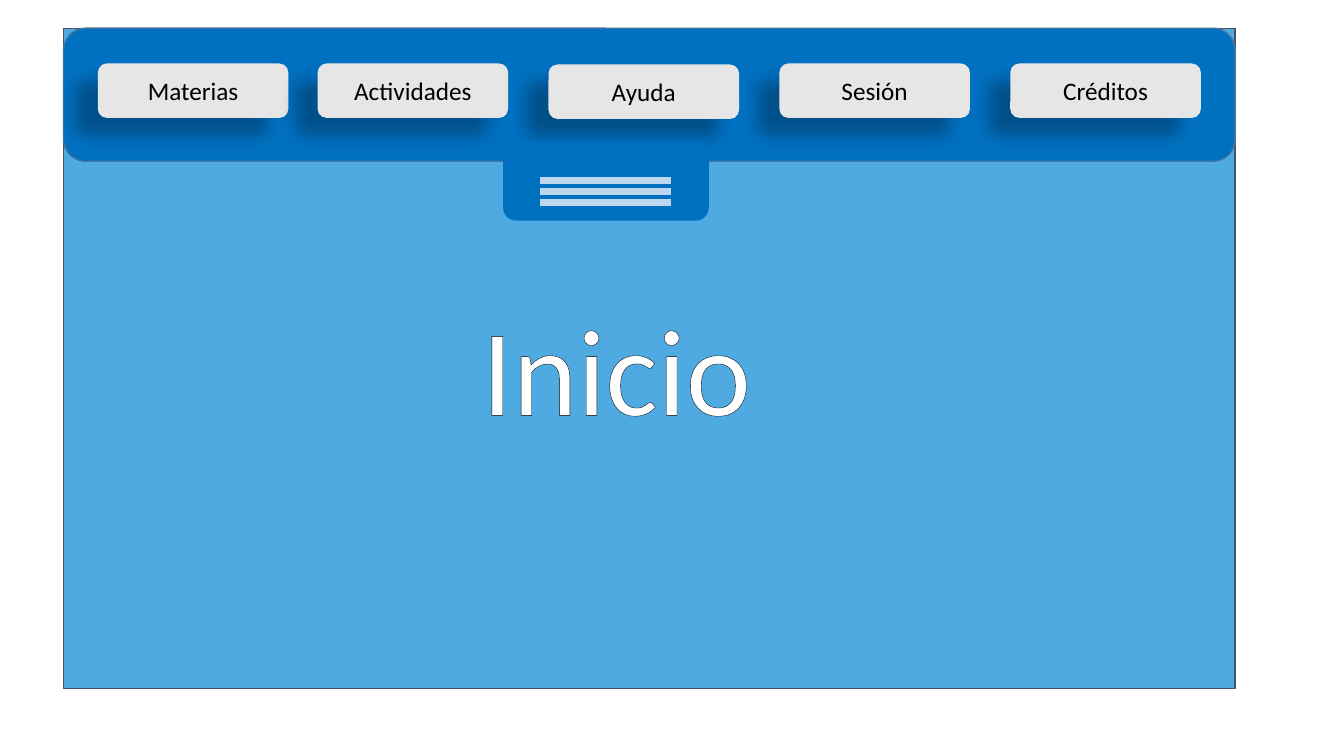
from lxml.etree import SubElement
from pptx import Presentation
from pptx.dml.color import RGBColor
from pptx.enum.shapes import MSO_CONNECTOR, MSO_SHAPE
from pptx.enum.text import MSO_ANCHOR, MSO_AUTO_SIZE, PP_ALIGN
from pptx.oxml import parse_xml
from pptx.oxml.ns import nsdecls, qn
from pptx.util import Inches, Pt

SKY = RGBColor(0x50, 0xAA, 0xE2)
BLUE = RGBColor(0x00, 0x70, 0xC0)
SLATE = RGBColor(0x44, 0x54, 0x6A)
STEEL = RGBColor(0x43, 0x73, 0x9E)
GRAY = RGBColor(0xE7, 0xE6, 0xE6)
PALE = RGBColor(0xBD, 0xD7, 0xEE)
BLACK = RGBColor(0, 0, 0)
WHITE = RGBColor(255, 255, 255)

TITLE = "Inicio"
MENU = [("Materias", 0.11, 0), ("Actividades", 0, 0), ("Ayuda", 0, 0.01),
        ("Sesión", 0, 0), ("Créditos", 0, 0)]
MENU_LEFT, MENU_TOP, MENU_STEP = 0.86, 0.63, 2.29
BUTTON_W, BUTTON_H = 1.89, 0.54
PANEL = (0.63, 0.28, 11.62, 6.55)
HEADER = (*PANEL[:3], 1.32)
TAB = (4.99, 1.41, 2.04, 0.78)
BARS, BAR_LEFT, BAR_RIGHT, BAR_TOP, BAR_STEP = 3, 5.36, 6.66, 1.79, 0.11
TITLE_BOX = (4.68, 2.85, 3.08, 1.58)
BUTTON_FONT = {"name": "Calibri", "size": Pt(18)}
TITLE_FONT = {"name": "Calibri", "size": Pt(88)}
SHADOW = {"blurRad": Pt(11.8), "dist": Pt(19.7), "dir": 141 * 60000,
          "algn": "ctr", "rotWithShape": 0}


def add_box(s, kind, box, fill, line=None):
    sp = s.shapes.add_shape(kind, *map(Inches, box))
    sp.shadow.inherit = False
    sp.fill.solid()
    sp.fill.fore_color.rgb = fill
    if line is None:
        sp.line.fill.background()
    else:
        sp.line.color.rgb = line
        sp.line.width = Pt(1)
    return sp


def write(tf, text, font, color):
    p = tf.paragraphs[0]
    r = p.add_run()
    r.text = text
    for key, value in font.items():
        setattr(r.font, key, value)
    r.font.color.rgb = color
    return p, r


def add_button(s, text, left, top):
    box = (left, top, BUTTON_W, BUTTON_H)
    sp = add_box(s, MSO_SHAPE.ROUNDED_RECTANGLE, box, GRAY)
    effects = sp._element.spPr.find(qn("a:effectLst"))
    shadow = SubElement(effects, qn("a:outerShdw"),
                        {key: str(value) for key, value in SHADOW.items()})
    color = SubElement(shadow, qn("a:srgbClr"), val=str(BLACK))
    SubElement(color, qn("a:alpha"), val="28000")
    sp.text_frame.vertical_anchor = MSO_ANCHOR.MIDDLE
    p, r = write(sp.text_frame, text, BUTTON_FONT, BLACK)
    p.alignment = PP_ALIGN.CENTER


def add_bar(s, y):
    bar = s.shapes.add_connector(
        MSO_CONNECTOR.STRAIGHT, *map(Inches, (BAR_LEFT, y, BAR_RIGHT, y)))
    bar.line.color.rgb = PALE
    bar.line.width = Pt(4.5)
    SubElement(bar._element.spPr, qn("a:effectLst"))


def add_title(s):
    tf = s.shapes.add_textbox(*map(Inches, TITLE_BOX)).text_frame
    tf.word_wrap = False
    tf.auto_size = MSO_AUTO_SIZE.SHAPE_TO_FIT_TEXT
    p, r = write(tf, TITLE, TITLE_FONT, WHITE)
    outline = parse_xml(
        f'<a:ln {nsdecls("a")} w="{Pt(0.75)}"><a:solidFill>'
        f'<a:srgbClr val="{BLACK}"/></a:solidFill></a:ln>')
    r._r.get_or_add_rPr().insert(0, outline)


def main():
    """Build the start screen with its menu, pull-down tab and title."""
    prs = Presentation()
    prs.slide_width, prs.slide_height = Inches(13.33), Inches(7.5)
    s = prs.slides.add_slide(prs.slide_layouts[6])
    add_box(s, MSO_SHAPE.RECTANGLE, PANEL, SKY, SLATE)
    add_box(s, MSO_SHAPE.ROUNDED_RECTANGLE, HEADER, BLUE, STEEL)
    for col, (text, dx, dy) in enumerate(MENU):
        add_button(s, text, MENU_LEFT + col * MENU_STEP + dx, MENU_TOP + dy)
    add_box(s, MSO_SHAPE.ROUNDED_RECTANGLE, TAB, BLUE)
    for row in range(BARS):
        add_bar(s, BAR_TOP + row * BAR_STEP)
    add_title(s)
    prs.save("out.pptx")


if __name__ == "__main__":
    main()
